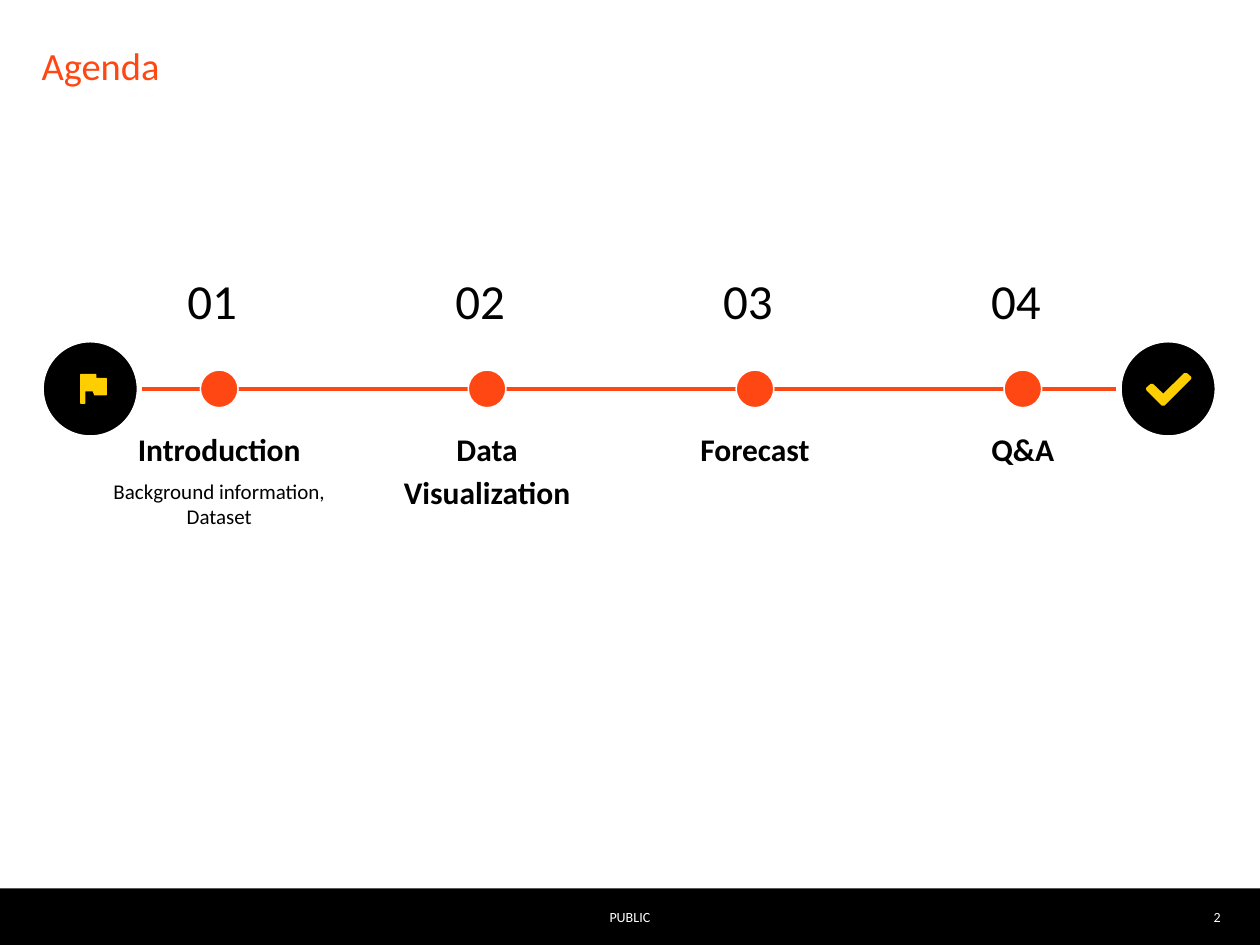
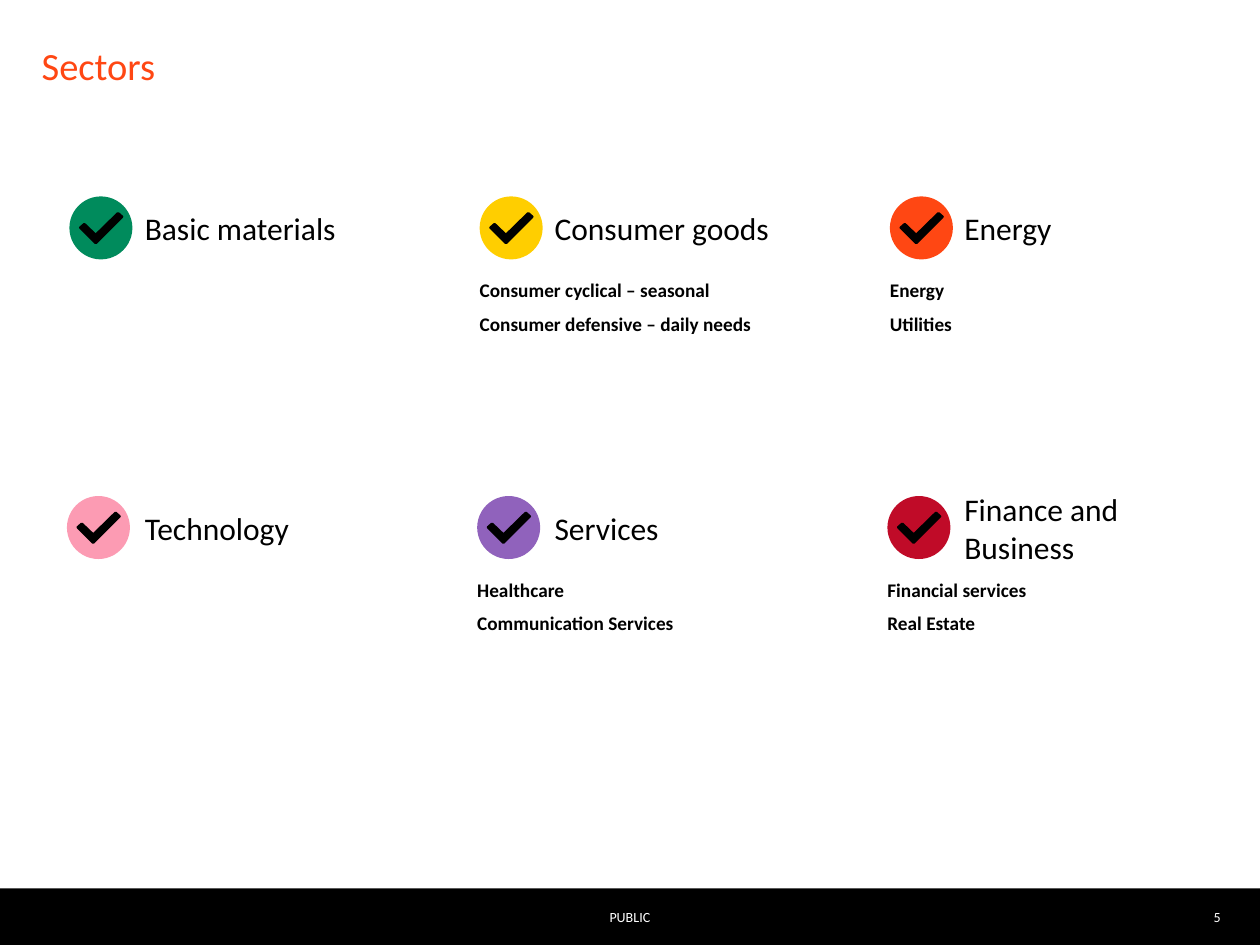
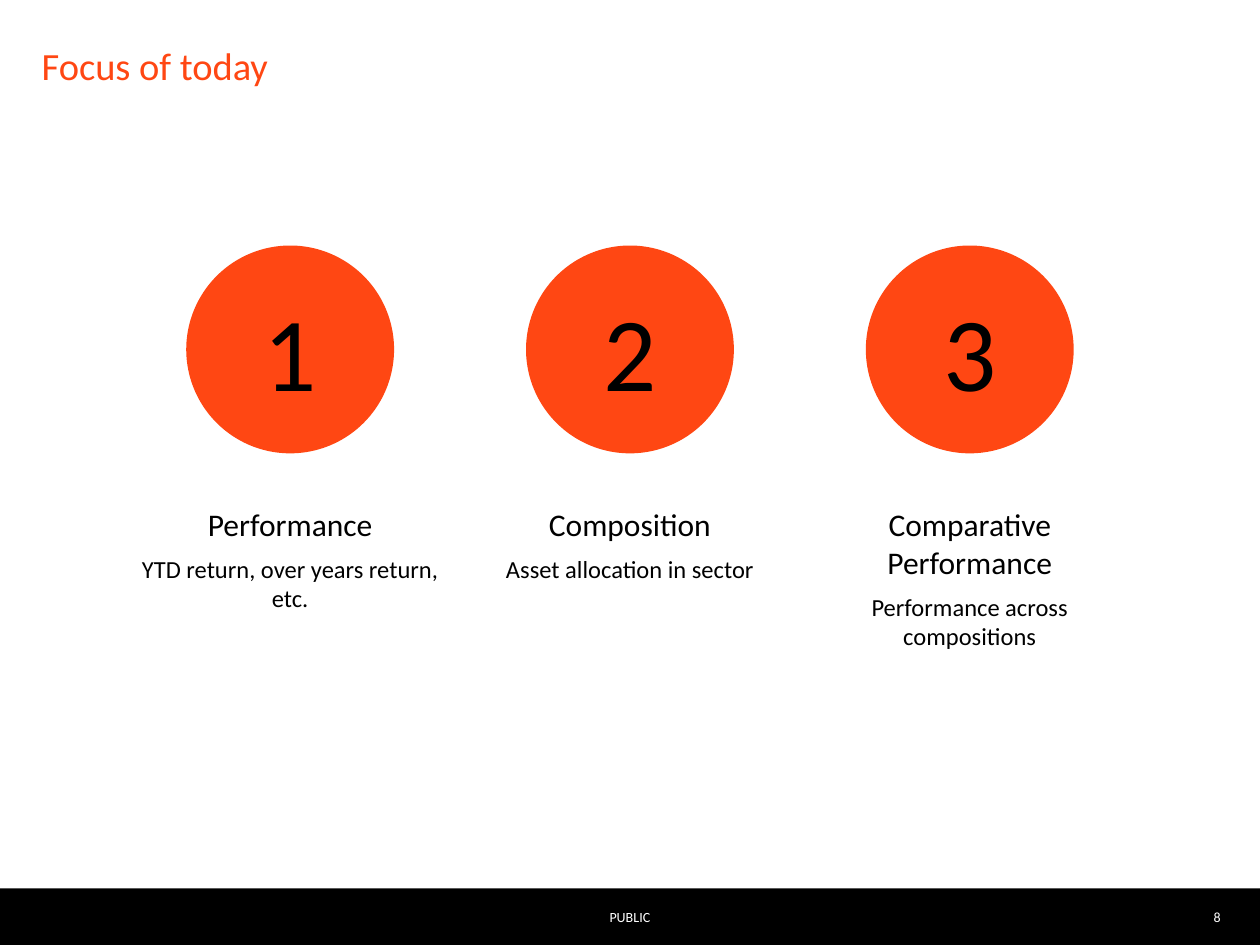
"""Build three slides: a timeline agenda, a grid of sectors and a focus list."""
import pptx
import pptx.dml.color
import pptx.enum.shapes
import pptx.enum.text
import pptx.oxml
import pptx.util
from pptx.util import Cm

FONT = "Calibri"
BLACK, WHITE, ORANGE, YELLOW = "000000", "FFFFFF", "FF4713", "FFCE00"
LEFT, MID, RIGHT = (pptx.enum.text.PP_ALIGN.LEFT, pptx.enum.text.PP_ALIGN.CENTER,
                    pptx.enum.text.PP_ALIGN.RIGHT)
TOP, CENTER = pptx.enum.text.MSO_ANCHOR.TOP, pptx.enum.text.MSO_ANCHOR.MIDDLE
OVAL = pptx.enum.shapes.MSO_SHAPE.OVAL
RECT = pptx.enum.shapes.MSO_SHAPE.RECTANGLE

WIDE, HIGH = 25.4, 19.05
BAND = 1.14
CHECK = [(76, 0), (31, 44), (8, 22), (0, 29), (31, 60), (38, 53), (84, 7)]
FLAG = [(30, 8), (30, 0), (0, 0), (0, 58), (8, 58), (8, 33), (25, 33),
        (28, 41), (51, 41), (51, 8)]

STEPS = [
    ("Introduction", "Background information, Dataset"),
    ("Data Visualization", ""),
    ("Forecast", ""),
    ("Q&A", ""),
]
SECTORS = [
    [("Basic materials", "008B5C", []),
     ("Consumer goods", YELLOW,
      ["Consumer cyclical – seasonal", "Consumer defensive – daily needs"]),
     ("Energy", ORANGE, ["Energy", "Utilities"])],
    [("Technology", "FC9BB3", []),
     ("Services", "9062BC", ["Healthcare", "Communication Services"]),
     ("Finance and Business", "C00B28", ["Financial services", "Real Estate"])],
]
TOPICS = [
    ("Performance", "YTD return, over years return, etc."),
    ("Composition", "Asset allocation in sector"),
    ("Comparative Performance", "Performance across compositions"),
]


def tint(code):
    return pptx.dml.color.RGBColor.from_string(code)


def paint(shape, fill, line=None, width=0.75):
    shape.shadow.inherit = False
    shape.fill.solid()
    shape.fill.fore_color.rgb = tint(fill)
    if line:
        shape.line.color.rgb = tint(line)
        shape.line.width = pptx.util.Pt(width)
    else:
        shape.line.fill.background()
    return shape


def shape(slide, kind, x, y, w, h, fill, line=None, width=0.75):
    item = slide.shapes.add_shape(kind, Cm(x), Cm(y), Cm(w), Cm(h))
    return paint(item, fill, line, width)


def icon(slide, points, x, y, color, width):
    pen = slide.shapes.build_freeform(*points[0], scale=Cm(0.01))
    pen.add_line_segments(points[1:], close=True)
    paint(pen.convert_to_shape(Cm(x), Cm(y)), color, color, width)


def write(frame, lines, color=BLACK, align=LEFT, anchor=TOP, inset=0.0, wrap=True):
    """Fill a frame with lines of (text, size, options)."""
    frame.word_wrap = wrap
    frame.auto_size = pptx.enum.text.MSO_AUTO_SIZE.NONE
    frame.vertical_anchor = anchor
    frame.margin_left = frame.margin_right = Cm(inset)
    frame.margin_top = frame.margin_bottom = Cm(min(inset, 0.13))
    for n, (text, size, opts) in enumerate(lines):
        para = frame.add_paragraph() if n else frame.paragraphs[0]
        para.text = text
        para.alignment = align
        para.line_spacing = opts.get("lead", 1.0)
        para.space_before = pptx.util.Pt(opts.get("before", 0))
        para.space_after = pptx.util.Pt(opts.get("after", 0))
        para.font.name = FONT
        para.font.size = pptx.util.Pt(size)
        para.font.bold = opts.get("bold", False)
        para.font.color.rgb = tint(color)


def label(slide, x, y, w, h, lines, **style):
    box = slide.shapes.add_textbox(Cm(x), Cm(y), Cm(w), Cm(h))
    write(box.text_frame, lines, **style)


def page(deck, title, number):
    slide = deck.slides.add_slide(deck.slide_layouts[5])
    base = HIGH - BAND
    shape(slide, RECT, 0, base, WIDE, BAND, BLACK)
    head = slide.shapes.title
    head.left, head.top, head.width, head.height = Cm(0.84), Cm(0.84), Cm(23.7), Cm(1.65)
    write(head.text_frame, [(title, 22, {})], color=ORANGE)
    label(slide, 23.47, base, BAND, BAND, [(str(number), 8, {})],
          color=WHITE, align=RIGHT, anchor=CENTER)
    label(slide, 4.45, base, 16.5, BAND, [("PUBLIC", 8, {})],
          color=WHITE, align=MID, anchor=CENTER)
    return slide


def agenda(deck):
    slide = page(deck, "Agenda", 2)
    axis, dot, disc = 7.84, 0.76, 1.9
    line = slide.shapes.add_connector(pptx.enum.shapes.MSO_CONNECTOR.STRAIGHT,
                                      Cm(2.87), Cm(axis), Cm(22.5), Cm(axis))
    line.line.color.rgb = tint(ORANGE)
    line.line.width = pptx.util.Pt(2.75)
    props = line.element.spPr
    props.append(props.makeelement(pptx.oxml.ns.qn("a:effectLst"), {}))
    for n, (name, note) in enumerate(STEPS):
        mid = 4.42 + n * 5.4
        label(slide, mid - 0.89, 5.33, 1.75, 1.45, [(f"{n + 1:02}", 28, {})],
              inset=0.25, wrap=False)
        shape(slide, OVAL, mid - dot / 2, axis - dot / 2, dot, dot, ORANGE, WHITE, 0.85)
        lines = [(name, 18, {"bold": True, "lead": 1.13, "after": 6})]
        if note:
            lines.append((note, 12, {"after": 6}))
        label(slide, mid - 2.2, 8.53, 4.4, 5.33, lines, align=MID, inset=0.05)
    ends = [(0.87, FLAG, 0.76, 0.75), (22.6, CHECK, 0.54, 2.25)]
    for x, points, shift, width in ends:
        top = axis - disc / 2
        shape(slide, OVAL, x, top, disc, disc, BLACK, WHITE, 0.85)
        icon(slide, points, x + shift, top + 0.66, YELLOW, width)


def sectors(deck):
    slide = page(deck, "Sectors", 5)
    for row, cells in enumerate(SECTORS):
        y = 3.96 + row * 6.04
        for col, (name, color, parts) in enumerate(cells):
            x = 1.4 + col * 8.27 - row * 0.05
            shape(slide, OVAL, x, y, 1.27, 1.27, color)
            icon(slide, CHECK, x + 0.22, y + 0.34, BLACK, 1.5)
            label(slide, 2.92 + col * 8.26, y + 0.13, 5.08, 1.02, [(name, 18, {})],
                  anchor=CENTER)
            if parts:
                label(slide, x, y + 1.65, 6.6, 3.81,
                      [(part, 11, {"bold": True, "after": 6}) for part in parts])


def focus(deck):
    slide = page(deck, "Focus of today", 8)
    disc, wide = 4.19, 6.1
    for n, (name, note) in enumerate(TOPICS):
        mid = 5.85 + n * 6.85
        ball = shape(slide, OVAL, mid - disc / 2, 4.95, disc, disc, ORANGE)
        write(ball.text_frame, [(str(n + 1), 60, {"before": 3, "after": 3})],
              align=MID, anchor=CENTER)
        label(slide, mid - wide / 2, 10.19, wide, 4.78,
              [(name, 18, {"after": 6}), (note, 14, {"after": 6})], align=MID)


def main():
    deck = pptx.Presentation()
    deck.slide_width, deck.slide_height = Cm(WIDE), Cm(HIGH)
    for build in (agenda, sectors, focus):
        build(deck)
    deck.save("out.pptx")


if __name__ == "__main__":
    main()
